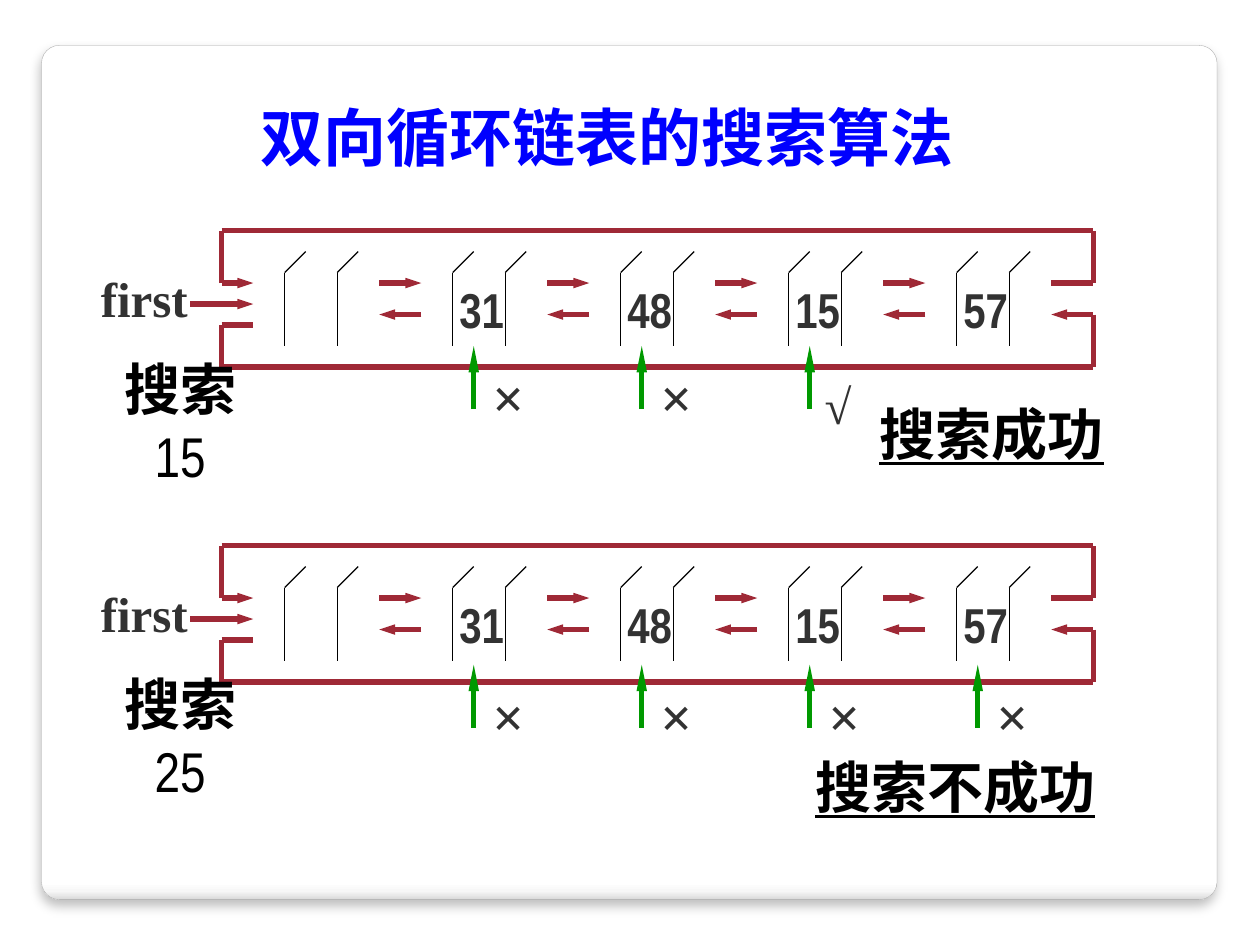
from lxml import etree
from pptx import Presentation
from pptx.dml.color import RGBColor
from pptx.enum.shapes import MSO_CONNECTOR, MSO_SHAPE
from pptx.enum.text import MSO_ANCHOR, PP_ALIGN
from pptx.oxml import parse_xml
from pptx.oxml.ns import nsdecls, qn
from pptx.util import Inches, Pt

STRAIGHT = MSO_CONNECTOR.STRAIGHT
CARD = MSO_SHAPE.ROUNDED_RECTANGLE
TOP, MIDDLE = MSO_ANCHOR.TOP, MSO_ANCHOR.MIDDLE
LEFT, CENTER = PP_ALIGN.LEFT, PP_ALIGN.CENTER

BLACK = RGBColor(0, 0, 0)
GREY = RGBColor(0x32, 0x32, 0x32)
EDGE = RGBColor(0xA4, 0xA4, 0xA4)
BLUE = RGBColor(0, 0, 0xFF)
RED = RGBColor(0x9F, 0x29, 0x36)
GREEN = RGBColor(0, 0x99, 0)
SERIF, NARROW = "Times New Roman", "Arial Narrow"

STEP = 1 / 12           # grid unit, inches
PITCH = 16              # columns from one node to the next
FIRST_NODE = 6          # column of the head node
LAST_COLUMN, LAST_ROW = 83, 13
LIST_LEFT = 1.76
VALUES = ["31", "48", "15", "57"]


def style(para, size, font, color, bold=True, align=CENTER):
    para.alignment = align
    para.font.size = Pt(size)
    para.font.name = font
    para.font.bold = bold
    para.font.color.rgb = color


def add_label(page, text, left, top, width, height, size, font, color,
              anchor=MIDDLE, align=CENTER):
    box = page.shapes.add_textbox(Inches(left), Inches(top), Inches(width), Inches(height))
    box.text_frame.word_wrap = False
    box.text_frame.vertical_anchor = anchor
    para = box.text_frame.paragraphs[0]
    para.text = text
    style(para, size, font, color, align=align)
    return box.text_frame


def set_insets(frame):
    frame.margin_left = frame.margin_right = Inches(0.12)
    frame.margin_top = frame.margin_bottom = Inches(0.06)


def add_line(page, top, start, end, color=RED, weight=3, head=None):
    """Join two (column, row) grid points; head is the arrowhead length."""
    (x1, y1), (x2, y2) = [(Inches(LIST_LEFT + column * STEP), Inches(top + row * STEP))
                          for column, row in (start, end)]
    line = page.shapes.add_connector(STRAIGHT, x1, y1, x2, y2)
    line.line.color.rgb = color
    line.line.width = Pt(weight)
    if head:
        etree.SubElement(line.line._get_or_add_ln(), qn("a:tailEnd"),
                         type="triangle", w="sm", len=head)
    etree.SubElement(line._element.spPr, qn("a:effectLst"))


def add_card(page, left, top, width, height):
    card = page.shapes.add_shape(CARD, Inches(left), Inches(top), Inches(width), Inches(height))
    card.adjustments[0] = 0.021
    card.line.color.rgb = EDGE
    card.line.width = Pt(0.16)
    stops = "".join(f'<a:gs pos="{share}000"><a:srgbClr val="{color}"/></a:gs>'
                    for share, color in ((0, "FFFFFF"), (98, "FFFFFF"),
                                         (99, "F7F7F7"), (100, "DADADA")))
    gradient = parse_xml(f'<a:gradFill {nsdecls("a")}><a:gsLst>{stops}</a:gsLst>'
                         '<a:lin ang="5400000" scaled="0"/></a:gradFill>')
    shadow = parse_xml(f'<a:effectLst {nsdecls("a")}><a:outerShdw blurRad="{Pt(6)}" '
                       f'dist="{Pt(4)}" dir="5400000" algn="t" rotWithShape="0">'
                       '<a:srgbClr val="000000"><a:alpha val="25000"/></a:srgbClr>'
                       '</a:outerShdw></a:effectLst>')
    properties = card._element.spPr
    properties.find(qn("a:prstGeom")).addnext(gradient)
    properties.append(shadow)
    page.shapes._spTree.insert(2, card._element)


def add_title(page, text, left, top, width, height):
    title = page.shapes.title
    title.left, title.top = Inches(left), Inches(top)
    title.width, title.height = Inches(width), Inches(height)
    set_insets(title.text_frame)
    title.text_frame.vertical_anchor = TOP
    title.text_frame.text = text
    style(title.text_frame.paragraphs[0], 36, SERIF, BLUE)


def add_linked_list(page, top):
    """Draw the nodes, their links both ways and the two closing loops."""
    for node in range(len(VALUES) + 1):
        column = FIRST_NODE + node * PITCH
        for side in (column, column + 5):
            add_line(page, top, (side, 4), (side, 11), BLACK, 0.75)
            add_line(page, top, (side, 4), (side + 2, 2), BLACK, 0.75)
        link, link_end = column + 9, column + 13
        last = node == len(VALUES)
        add_line(page, top, (link, 5), (link_end, 5), head=None if last else "med")
        add_line(page, top, (link_end, 8), (link, 8), head="med")

    add_line(page, top, (0, 5), (3, 5), head="med")
    add_line(page, top, (-3, 7), (3, 7), head="med")
    add_line(page, top, (0, 9), (3, 9))
    for edge_row, left_row, right_row in ((0, 5, 5), (LAST_ROW, 9, 8)):
        add_line(page, top, (0, edge_row), (LAST_COLUMN, edge_row))
        add_line(page, top, (0, left_row), (0, edge_row))
        add_line(page, top, (LAST_COLUMN, right_row), (LAST_COLUMN, edge_row))

    add_label(page, "first", 0.7, top + 0.25, 0.89, 0.57, 28, SERIF, GREY)
    for index, value in enumerate(VALUES, 1):
        left = LIST_LEFT + (FIRST_NODE + index * PITCH) * STEP - 0.05
        add_label(page, value, left, top + 0.34, 0.56, 0.57, 28, NARROW, GREY)


def add_search(page, top, target, marks, drop=0):
    """Show the wanted value and a pointer with a mark below each visited node."""
    frame = add_label(page, "搜索", 0.68, top + 1.2, 1.5, 0.63, 32, NARROW, BLACK)
    para = frame.paragraphs[0]
    para.add_line_break()
    span = para.add_run()
    span.text = target
    span.font.bold = False

    for index, mark in enumerate(marks, 1):
        column = FIRST_NODE + index * PITCH + 2
        add_line(page, top + drop, (column, 17), (column, 11), GREEN, head="lg")
        left = LIST_LEFT + column * STEP
        if mark == "√":
            add_label(page, mark, left + 0.02, top + drop + 1.1, 0.41, 0.57, 28, SERIF, GREY)
        else:
            add_label(page, mark, left + 0.05, top + drop + 1, 0.45, 0.63, 32, SERIF, GREY)


def add_result(page, text, left, top, width):
    frame = add_label(page, text, left, top, width, 0.66, 32, SERIF, BLACK, TOP, LEFT)
    set_insets(frame)
    frame.paragraphs[0].font.underline = True


def main():
    deck = Presentation()
    deck.slide_width, deck.slide_height = Inches(10), Inches(7.5)
    page = deck.slides.add_slide(deck.slide_layouts[5])
    add_card(page, 0.33, 0.36, 9.33, 6.78)
    add_title(page, "双向循环链表的搜索算法", 1.56, 0.72, 6.52, 0.73)
    add_result(page, "搜索成功", 6.86, 3.11, 2.03)
    add_result(page, "搜索不成功", 6.35, 5.91, 2.48)
    for top, target, marks, drop in ((1.83, "15", "××√", 0), (4.33, "25", "××××", 0.03)):
        add_linked_list(page, top)
        add_search(page, top, target, marks, drop)
    deck.save("out.pptx")


if __name__ == "__main__":
    main()
